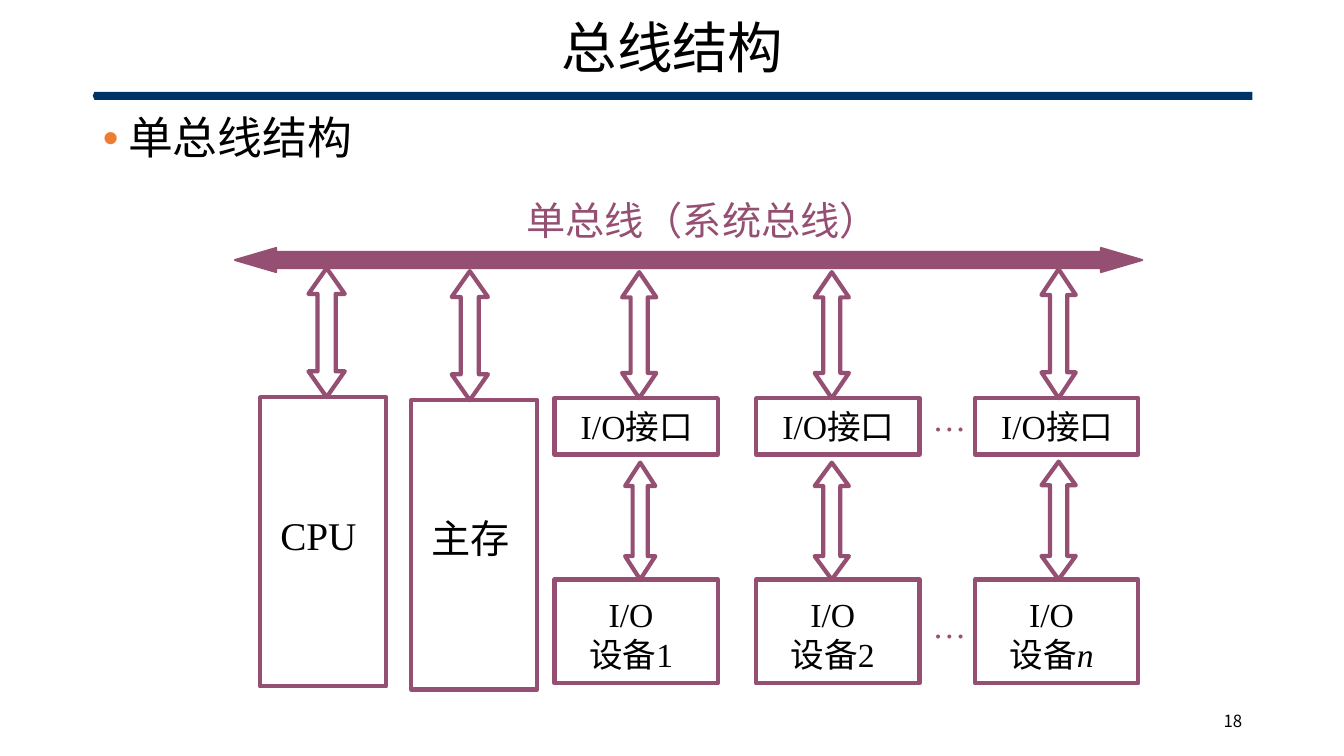
from lxml import etree
from pptx import Presentation
from pptx.dml.color import RGBColor
from pptx.enum.shapes import MSO_SHAPE as Preset
from pptx.enum.text import MSO_ANCHOR as Anchor, MSO_AUTO_SIZE as AutoSize, PP_ALIGN as Align
from pptx.oxml.ns import qn
from pptx.util import Inches, Pt

SANS, SERIF = "Noto Sans CJK SC", "Times New Roman"
BLACK, PURPLE, NAVY, ORANGE = "000000", "954F72", "003366", "ED7D31"
color = RGBColor.from_string


def write_text(shape, lines, size, font=SANS, fill=BLACK, align=Align.LEFT,
               anchor=Anchor.TOP, margins=(0.1, 0.05, 0.1, 0.05), spacing=1, wrap=True):
    """Write lines, each a list of (text, italic) runs or a plain string."""
    frame = shape.text_frame
    frame.auto_size = AutoSize.NONE
    frame.word_wrap = wrap
    frame.vertical_anchor = anchor
    frame.margin_left, frame.margin_top, frame.margin_right, frame.margin_bottom = map(Inches, margins)
    for index, line in enumerate(lines):
        paragraph = frame.add_paragraph() if index else frame.paragraphs[0]
        paragraph.alignment = align
        paragraph.line_spacing = spacing
        paragraph.space_before = Pt(0)
        for text, italic in [(line, False)] if isinstance(line, str) else line:
            run = paragraph.add_run()
            run.text = text
            run.font.size = Pt(size)
            run.font.name = font
            run.font.italic = italic
            run.font.color.rgb = color(fill)
            east_asian = etree.SubElement(run.font._element, qn("a:ea"))
            east_asian.set("typeface", SANS)


def draw_arrow(start, end, center, half, shaft, head, horizontal=False):
    """Draw a two-headed block arrow running from start to end."""
    side = [(start, 0), (start + head, half), (start + head, shaft),
            (end - head, shaft), (end - head, half), (end, 0)]
    outline = side + [(along, -across) for along, across in side[-2:0:-1]]
    points = [(along, center + across) if horizontal else (center + across, along)
              for along, across in outline]
    points = [(Inches(x), Inches(y)) for x, y in points]
    builder = slide.shapes.build_freeform(*points[0])
    builder.add_line_segments(points[1:], close=True)
    arrow = builder.convert_to_shape()
    arrow.shadow.inherit = False
    arrow.line.color.rgb = color(PURPLE)
    arrow.line.width = Pt(3)
    arrow.fill.background()
    return arrow


presentation = Presentation()
presentation.slide_width, presentation.slide_height = Inches(13.33), Inches(7.5)
slide = presentation.slides.add_slide(presentation.slide_layouts[1])

# Rule under the title
rule = slide.shapes.add_shape(Preset.PENTAGON, Inches(0.92), Inches(0.91), Inches(11.5), Inches(0.08))
rule.adjustments[0] = 0.2
rule.rotation = 180
rule.shadow.inherit = False
rule.fill.solid()
rule.fill.fore_color.rgb = color(NAVY)
rule.line.fill.background()

# Title and bullet
title, body = slide.shapes.title, slide.placeholders[1]
for placeholder, top, height in [(title, 0.17, 0.66), (body, 1.1, 5.76)]:
    placeholder.left, placeholder.top = Inches(0.92), Inches(top)
    placeholder.width, placeholder.height = Inches(11.5), Inches(height)
write_text(title, ["总线结构"], 39.6, align=Align.CENTER, anchor=Anchor.MIDDLE, spacing=0.9)

properties = body.text_frame.paragraphs[0]._p.get_or_add_pPr()
properties.set("marL", str(Inches(0.25)))
properties.set("indent", str(Inches(-0.25)))
bullet_color = etree.SubElement(properties, qn("a:buClr"))
etree.SubElement(bullet_color, qn("a:srgbClr")).set("val", ORANGE)
etree.SubElement(properties, qn("a:buFont")).set("typeface", "Arial")
etree.SubElement(properties, qn("a:buChar")).set("char", "•")
write_text(body, ["单总线结构"], 32, spacing=0.9)

# Slide number
number = slide.shapes.add_textbox(Inches(9.42), Inches(6.95), Inches(3), Inches(0.4))
write_text(number, ["18"], 12, align=Align.RIGHT, anchor=Anchor.MIDDLE)

# System bus and its label
label = slide.shapes.add_textbox(Inches(5.22), Inches(1.95), Inches(3.52), Inches(0.47))
write_text(label, ["单总线（系统总线）"], 28, fill=PURPLE, margins=(0, 0, 0, 0), wrap=False)
bus = draw_arrow(2.33, 11.33, 2.58, 0.12, 0.08, 0.41, horizontal=True)
bus.fill.solid()
bus.fill.fore_color.rgb = color(PURPLE)
bus.line.width = Pt(1.38)

# Boxes: left, top, width, height, lines and text format
tall = dict(size=28, margins=(0.2, 0.05, 0.1, 0.18))
interface = dict(size=24, margins=(0.26, 0, 0, 0))
device = dict(size=24, align=Align.CENTER, margins=(0.1, 0.1, 0.2, 0.05))
boxes = [
    (2.58, 3.94, 1.25, 2.87, ["CPU"], tall),
    (4.08, 3.97, 1.25, 2.87, ["主存"], tall),
]
for left, device_number, italic in [(5.5, "1", False), (7.5, "2", False), (9.67, "n", True)]:
    boxes.append((left, 3.95, 1.62, 0.56, ["I/O接口"], interface))
    boxes.append((left, 5.75, 1.62, 1.03,
                  ["I/O", [("设备", False), (device_number, italic)]], device))

for left, top, width, height, lines, text_format in boxes:
    box = slide.shapes.add_shape(Preset.RECTANGLE, Inches(left), Inches(top), Inches(width), Inches(height))
    box.shadow.inherit = False
    box.fill.background()
    box.line.color.rgb = color(PURPLE)
    box.line.width = Pt(3)
    write_text(box, lines, font=SERIF, anchor=Anchor.MIDDLE, **text_format)

# Vertical arrows: centre, top, bottom, half width
for center, top, bottom, half in [
    (3.24, 2.66, 3.94, 0.18), (4.66, 2.69, 3.97, 0.18),
    (6.34, 2.7, 3.95, 0.17), (8.25, 2.7, 3.95, 0.17), (10.5, 2.67, 3.95, 0.17),
    (6.35, 4.59, 5.75, 0.15), (8.25, 4.59, 5.75, 0.17), (10.5, 4.58, 5.75, 0.17),
]:
    draw_arrow(top, bottom, center, half, half / 2, (bottom - top) / 5)

# Ellipses between the second and last device
for top, width in [(3.95, 0.42), (6, 0.58)]:
    ellipsis = slide.shapes.add_textbox(Inches(9.25), Inches(top), Inches(width), Inches(0.4))
    write_text(ellipsis, ["…"], 24, font=SERIF, fill=PURPLE, margins=(0, 0, 0, 0))

presentation.save("out.pptx")
